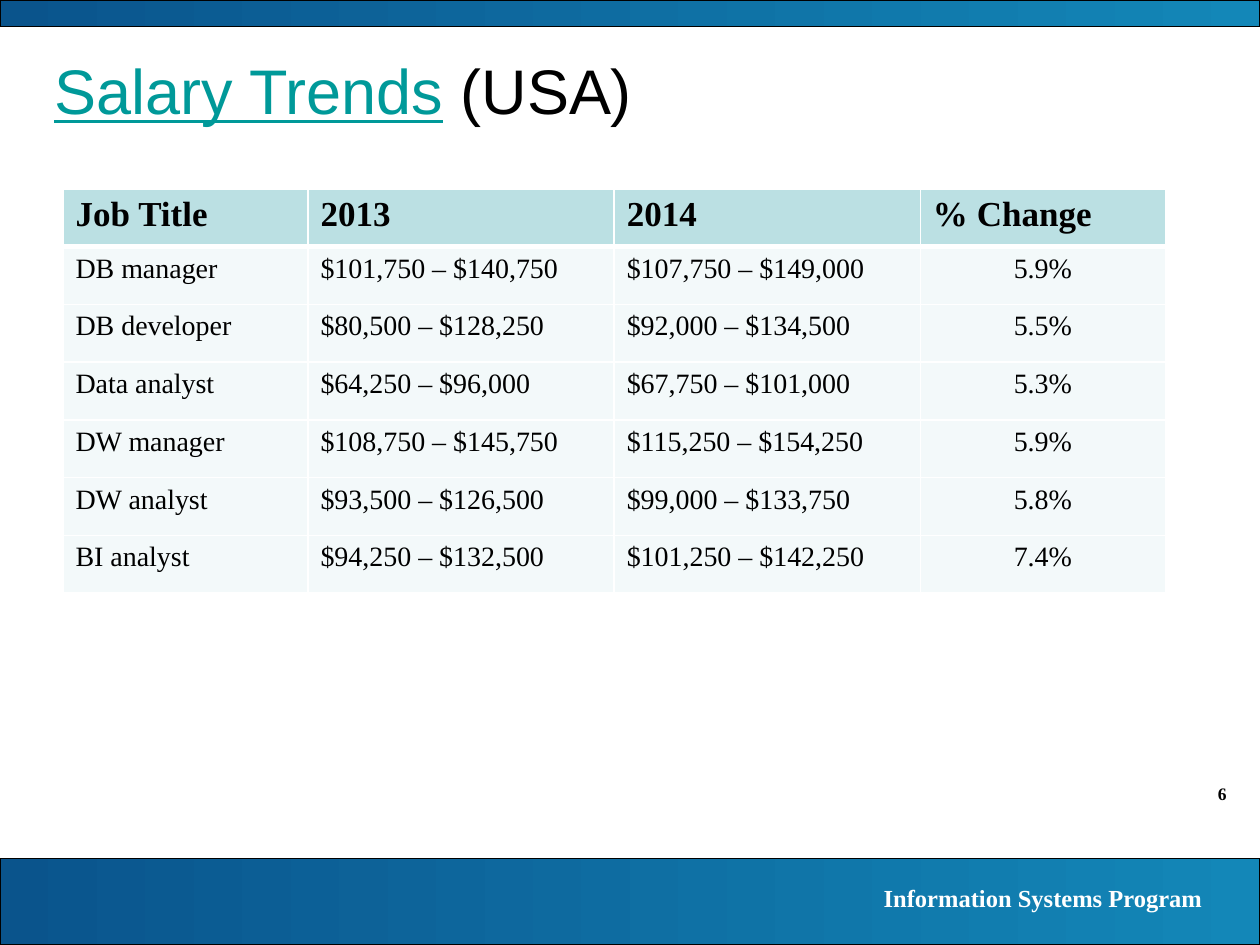
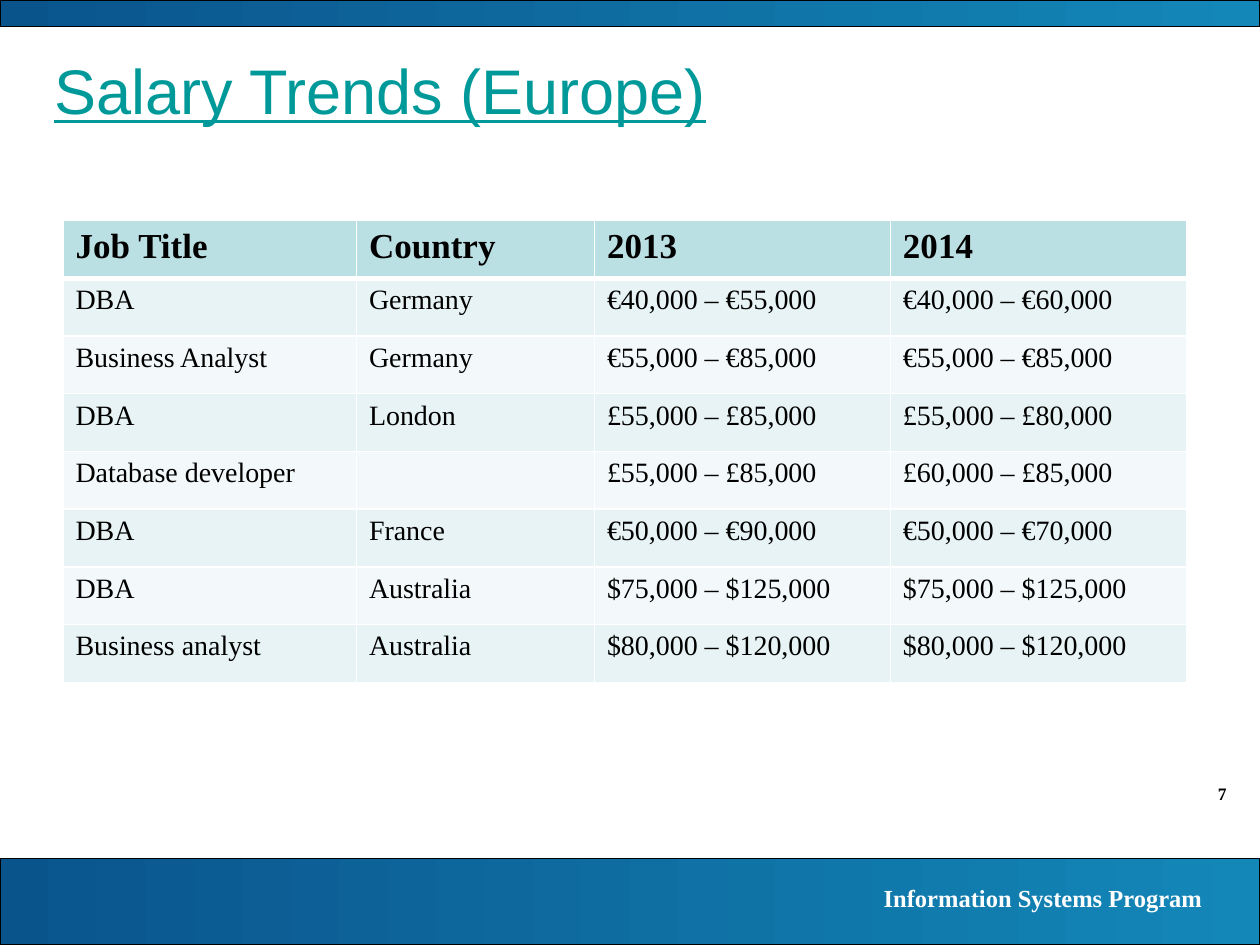
from collections import namedtuple
from lxml.etree import SubElement
from pptx import Presentation
from pptx.dml.color import RGBColor
from pptx.enum.shapes import MSO_SHAPE
from pptx.enum.text import MSO_ANCHOR, PP_ALIGN
from pptx.oxml.ns import qn
from pptx.util import Inches, Pt

COLORS = {
    "black": "000000",
    "white": "FFFFFF",
    "link": "009999",
    "band_start": "0A548C",
    "band_end": "1387B8",
    "header": "BBE0E3",
    "row_dark": "E7F3F4",
    "row_light": "F3F9FA",
}
HEADING_FONT, BODY_FONT = "Arial", "Times New Roman"

deck = Presentation()
deck.slide_width, deck.slide_height = Inches(10), Inches(7.5)
COLUMNS, ROWS = 120, 90
Box = namedtuple("Box", "left top width height")

TOP_BAND = Box(0, 0, COLUMNS, 2.5)
FOOTER_BAND = Box(0, 81.8, COLUMNS, 8.2)
PROGRAM_BOX = Box(66.6, 83.5, 49.1, 4.1)
NUMBER_BOX = Box(108, 74, 10, 3.2)
TITLE_BOX = Box(4, 4, 110, 9)
TABLE_ROW = 5.5


def place(box):
    return (
        round(box.left * deck.slide_width / COLUMNS),
        round(box.top * deck.slide_height / ROWS),
        round(box.width * deck.slide_width / COLUMNS),
        round(box.height * deck.slide_height / ROWS),
    )


def color(key):
    return RGBColor.from_string(COLORS[key])


def write(frame, text, size=16, font=BODY_FONT, ink="black", bold=False,
          underline=False, align=PP_ALIGN.LEFT):
    paragraph = frame.paragraphs[0]
    paragraph.alignment = align
    run = paragraph.add_run()
    run.text = text
    run.font.size, run.font.name = Pt(size), font
    run.font.bold, run.font.underline = bold, underline
    run.font.color.rgb = color(ink)


def text_area(slide, box, anchor=MSO_ANCHOR.TOP):
    frame = slide.shapes.add_textbox(*place(box)).text_frame
    frame.word_wrap = True
    frame.vertical_anchor = anchor
    return frame


def draw_band(slide, box):
    band = slide.shapes.add_shape(MSO_SHAPE.RECTANGLE, *place(box))
    band.shadow.inherit = False
    band.fill.gradient()
    band.fill.gradient_angle = 0
    for stop, key in zip(band.fill.gradient_stops, ("band_start", "band_end")):
        stop.color.rgb = color(key)
    band.line.color.rgb = color("black")
    band.line.width = Pt(0.75)


def draw_frame(slide, number):
    write(text_area(slide, NUMBER_BOX), str(number), size=10, bold=True,
          align=PP_ALIGN.RIGHT)
    draw_band(slide, FOOTER_BAND)
    draw_band(slide, TOP_BAND)
    write(text_area(slide, PROGRAM_BOX), "Information Systems Program",
          size=14, ink="white", bold=True, align=PP_ALIGN.RIGHT)


def draw_title(slide, box, linked, plain):
    frame = text_area(slide, box, MSO_ANCHOR.MIDDLE)
    write(frame, linked, size=36, font=HEADING_FONT, ink="link", underline=True)
    if plain:
        write(frame, plain, size=36, font=HEADING_FONT)


def border(cell, top, bottom):
    properties = cell._tc.get_or_add_tcPr()
    for side, width in (("L", 1), ("R", 1), ("T", top), ("B", bottom)):
        edge = SubElement(properties, qn(f"a:ln{side}"), w=str(Pt(width)))
        paint = SubElement(edge, qn("a:solidFill"))
        SubElement(paint, qn("a:srgbClr"), val=COLORS["white"])


def draw_salaries(slide, box, shares, records, stripes, centered):
    table = slide.shapes.add_table(len(records), len(shares), *place(box)).table
    table.horz_banding = False
    width = place(box)[2]
    for column, share in zip(table.columns, shares):
        column.width = round(width * share / sum(shares))
    for r, record in enumerate(records):
        heading = r == 0
        fill = "header" if heading else stripes[(r - 1) % len(stripes)]
        for c, text in enumerate(record):
            cell = table.cell(r, c)
            border(cell, top=3 if r == 1 else 1, bottom=3 if heading else 1)
            cell.fill.solid()
            cell.fill.fore_color.rgb = color(fill)
            middle = c in centered and not heading
            if text:
                write(cell.text_frame, text, size=20 if heading else 16,
                      bold=heading,
                      align=PP_ALIGN.CENTER if middle else PP_ALIGN.LEFT)


def salary_slide(number, linked, plain, left, top, width, shares, records,
                 stripes, centered=()):
    slide = deck.slides.add_slide(deck.slide_layouts[6])
    draw_frame(slide, number)
    draw_title(slide, TITLE_BOX, linked, plain)
    box = Box(left, top, width, TABLE_ROW * len(records))
    draw_salaries(slide, box, shares, records, stripes, centered)


USA = [
    ("Job Title", "2013", "2014", "% Change"),
    ("DB manager", "$101,750 – $140,750", "$107,750 – $149,000", "5.9%"),
    ("DB developer", "$80,500 – $128,250", "$92,000 – $134,500", "5.5%"),
    ("Data analyst", "$64,250 – $96,000", "$67,750 – $101,000", "5.3%"),
    ("DW manager", "$108,750 – $145,750", "$115,250 – $154,250", "5.9%"),
    ("DW analyst", "$93,500 – $126,500", "$99,000 – $133,750", "5.8%"),
    ("BI analyst", "$94,250 – $132,500", "$101,250 – $142,250", "7.4%"),
]
EUROPE = [
    ("Job Title", "Country", "2013", "2014"),
    ("DBA", "Germany", "€40,000 – €55,000", "€40,000 – €60,000"),
    ("Business Analyst", "Germany", "€55,000 – €85,000", "€55,000 – €85,000"),
    ("DBA", "London", "£55,000 – £85,000", "£55,000 – £80,000"),
    ("Database developer", "", "£55,000 – £85,000", "£60,000 – £85,000"),
    ("DBA", "France", "€50,000 – €90,000", "€50,000 – €70,000"),
    ("DBA", "Australia", "$75,000 – $125,000", "$75,000 – $125,000"),
    ("Business analyst", "Australia", "$80,000 – $120,000", "$80,000 – $120,000"),
]

salary_slide(6, "Salary Trends", " (USA)", left=6, top=18, width=105,
             shares=(4, 5, 5, 4), records=USA, stripes=("row_light",),
             centered=(3,))
salary_slide(7, "Salary Trends (Europe)", "", left=6, top=21, width=107,
             shares=(2.33, 1.89, 2.35, 2.35), records=EUROPE,
             stripes=("row_dark", "row_light"))

deck.save("out.pptx")
